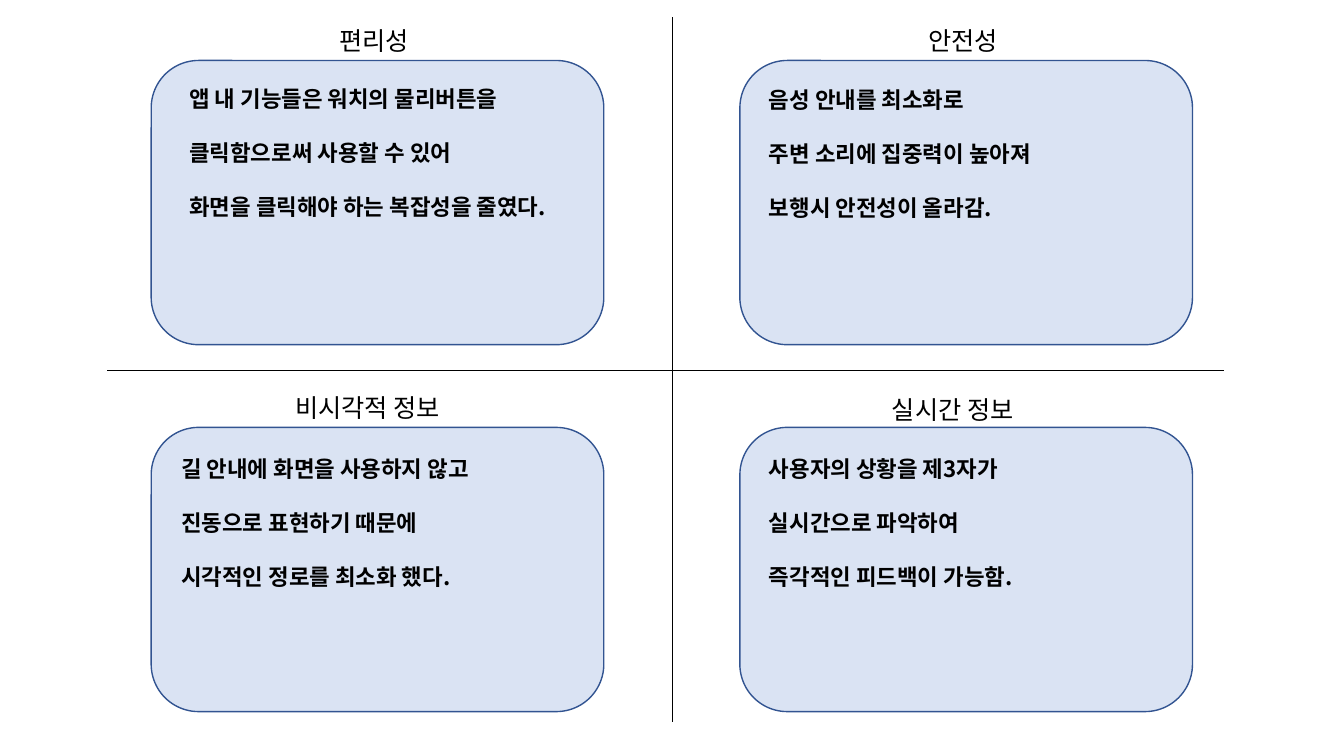
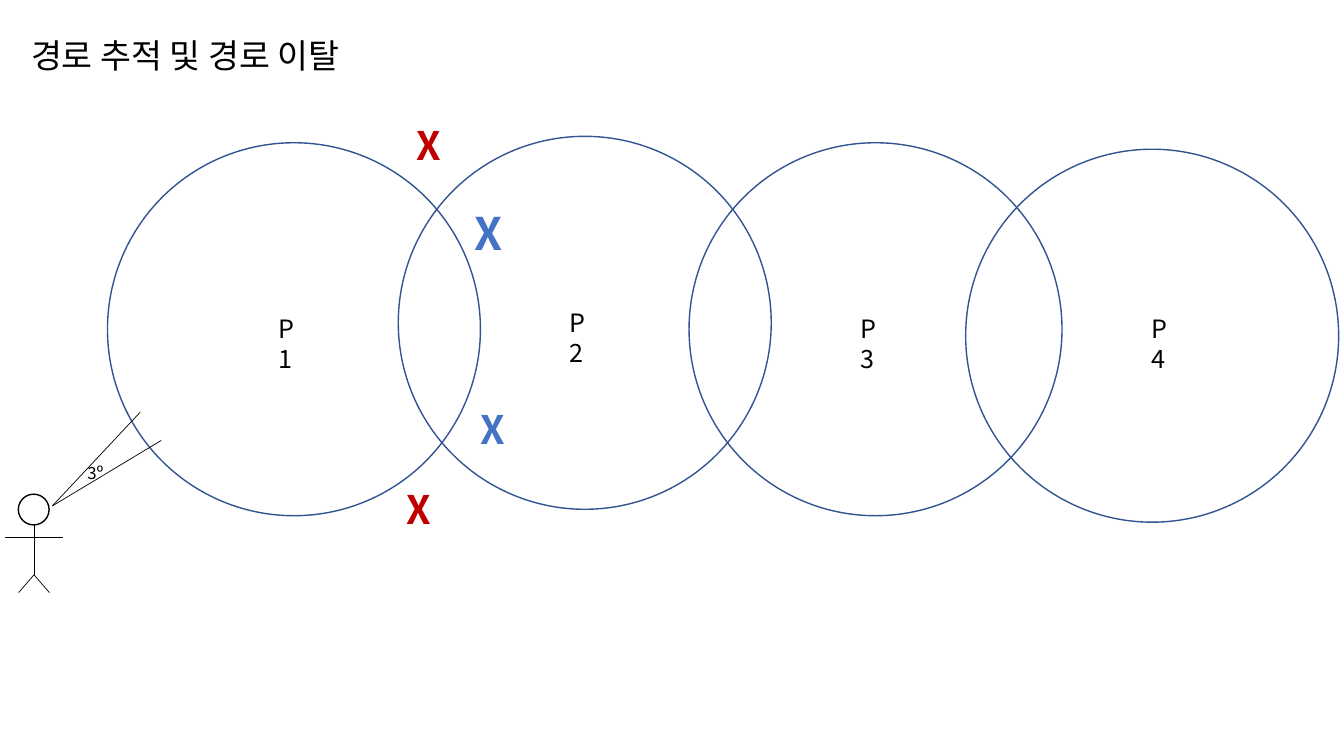
from pptx import Presentation
from pptx.dml.color import RGBColor
from pptx.enum import shapes, text
from pptx.oxml import ns
from pptx.util import Pt
from lxml import etree

FONT = "Noto Sans CJK KR"
BLACK, OUTLINE, PANEL = "000000", "325491", "DAE3F3"
RED, BLUE = "C00000", "4472C4"
PANEL_W, PANEL_H = 323.3, 203
CIRCLE = 266.4


def color(value):
    """Turn a hex string into a colour."""
    return RGBColor.from_string(value)


def add_text(slide, left, top, width, height, content, size=18, ink=BLACK,
             bold=False, gap=0, wrap=True, align=text.PP_ALIGN.LEFT):
    """Add a text box with one paragraph per line of content."""
    sp = slide.shapes.add_textbox(Pt(left), Pt(top), Pt(width), Pt(height))
    tf = sp.text_frame
    tf.word_wrap = wrap
    tf.text = content
    for i, p in enumerate(tf.paragraphs):
        p.alignment = align
        p.space_before = Pt(gap if i else 0)
        p.font.name = FONT
        p.font.size = Pt(size)
        p.font.bold = bold
        p.font.color.rgb = color(ink)
        props = p._p.pPr.find(ns.qn("a:defRPr"))
        etree.SubElement(props, ns.qn("a:ea")).set("typeface", FONT)


def add_outlined(slide, kind, left, top, width, height, ink=OUTLINE, fill=None):
    """Add a preset shape with a thin outline and an optional fill."""
    sp = slide.shapes.add_shape(kind, Pt(left), Pt(top), Pt(width), Pt(height))
    sp.shadow.inherit = False
    sp.line.color.rgb = color(ink)
    sp.line.width = Pt(1)
    if fill:
        sp.fill.solid()
        sp.fill.fore_color.rgb = color(fill)
    else:
        sp.fill.background()


def add_line(shape_tree, x1, y1, x2, y2):
    """Add a thin black line."""
    line = shape_tree.add_connector(
        shapes.MSO_CONNECTOR.STRAIGHT, Pt(x1), Pt(y1), Pt(x2), Pt(y2))
    line.line.color.rgb = color(BLACK)
    line.line.width = Pt(0.5)
    etree.SubElement(line._element.spPr, ns.qn("a:effectLst"))


def add_panel(slide, left, top, heading, heading_box, body, body_at):
    """Add a rounded panel with its heading and body."""
    add_outlined(slide, shapes.MSO_SHAPE.ROUNDED_RECTANGLE,
                 left, top, PANEL_W, PANEL_H, fill=PANEL)
    x, y, width = heading_box
    add_text(slide, x, y, width, 28.8, heading)
    add_text(slide, *body_at, 295.2, 104.4, body, 16, bold=True, gap=19.2)


def add_person(slide, left, top):
    """Add a stick figure."""
    middle, hip = left + 20.7, top + 57.6
    add_outlined(slide, shapes.MSO_SHAPE.OVAL, left + 9.5, top, 22, 22, BLACK)
    add_line(slide.shapes, middle, top + 22, middle, hip)
    for side in (-11, 11):
        add_line(slide.shapes, middle, hip, middle + side, hip + 12.7)
    add_line(slide.shapes, left, top + 31, left + 41.2, top + 31)


def build_benefits(slide):
    """Build the four benefit panels."""
    x1, x2, y1, y2 = 108, 528.5, 43.2, 305.3
    panels = [
        (x1, y1, "편리성", (235.4, 14.4, 69.1),
         "앱 내 기능들은 워치의 물리버튼을\n클릭함으로써 사용할 수 있어\n"
         "화면을 클릭해야 하는 복잡성을 줄였다.", (128.2, 57.6)),
        (x2, y1, "안전성", (655.9, 14.4, 69.1),
         "음성 안내를 최소화로\n주변 소리에 집중력이 높아져\n"
         "보행시 안전성이 올라감.", (542.2, 58.3)),
        (x1, y2, "비시각적 정보", (203.8, 276.5, 131.8),
         "길 안내에 화면을 사용하지 않고\n진동으로 표현하기 때문에\n"
         "시각적인 정로를 최소화 했다.", (122.4, 321.8)),
        (x2, y2, "실시간 정보", (630, 277.9, 121),
         "사용자의 상황을 제3자가\n실시간으로 파악하여\n"
         "즉각적인 피드백이 가능함.", (542.2, 321.8)),
    ]
    for panel in panels:
        add_panel(slide, *panel)
    add_line(slide.shapes, 480, 12.5, 480, 515.5)
    add_line(slide.shapes, 76.5, 264.2, 874, 264.2)


def build_route(slide):
    """Build the route tracking diagram."""
    add_text(slide, 15.1, 21.6, 267.1, 36, "경로 추적 및 경로 이탈", 24)
    circles = [(76.8, 102, 220.3), (284.5, 97.4, 216),
               (492.2, 102, 220.3), (689.8, 106.6, 220.3)]
    for i, (left, top, label_top) in enumerate(circles):
        add_outlined(slide, shapes.MSO_SHAPE.OVAL, left, top, CIRCLE, CIRCLE)
        add_text(slide, 192.2 + 207.8 * i, label_top, 34.6, 28.8, f"P{i + 1}")
    add_person(slide, 3.6, 353)
    for x, y in ((100.1, 294.5), (115.2, 314.6)):
        add_line(slide.shapes, 37.4, 361.4, x, y)
    add_text(slide, 55.4, 326.9, 26.6, 21.6, "3º", 12, wrap=False)
    marks = [(290.2, 82.8, 28, RED), (283, 343.4, 28, RED),
             (331.9, 143.3, 32, BLUE), (336.2, 285.8, 28, BLUE)]
    for left, top, size, ink in marks:
        add_text(slide, left, top, 34, size * 1.46, "X", size, ink, bold=True)


def main():
    """Build and save the presentation."""
    prs = Presentation()
    prs.slide_width, prs.slide_height = Pt(960), Pt(540)
    for build in (build_benefits, build_route):
        build(prs.slides.add_slide(prs.slide_layouts[6]))
    prs.save("out.pptx")


main()
